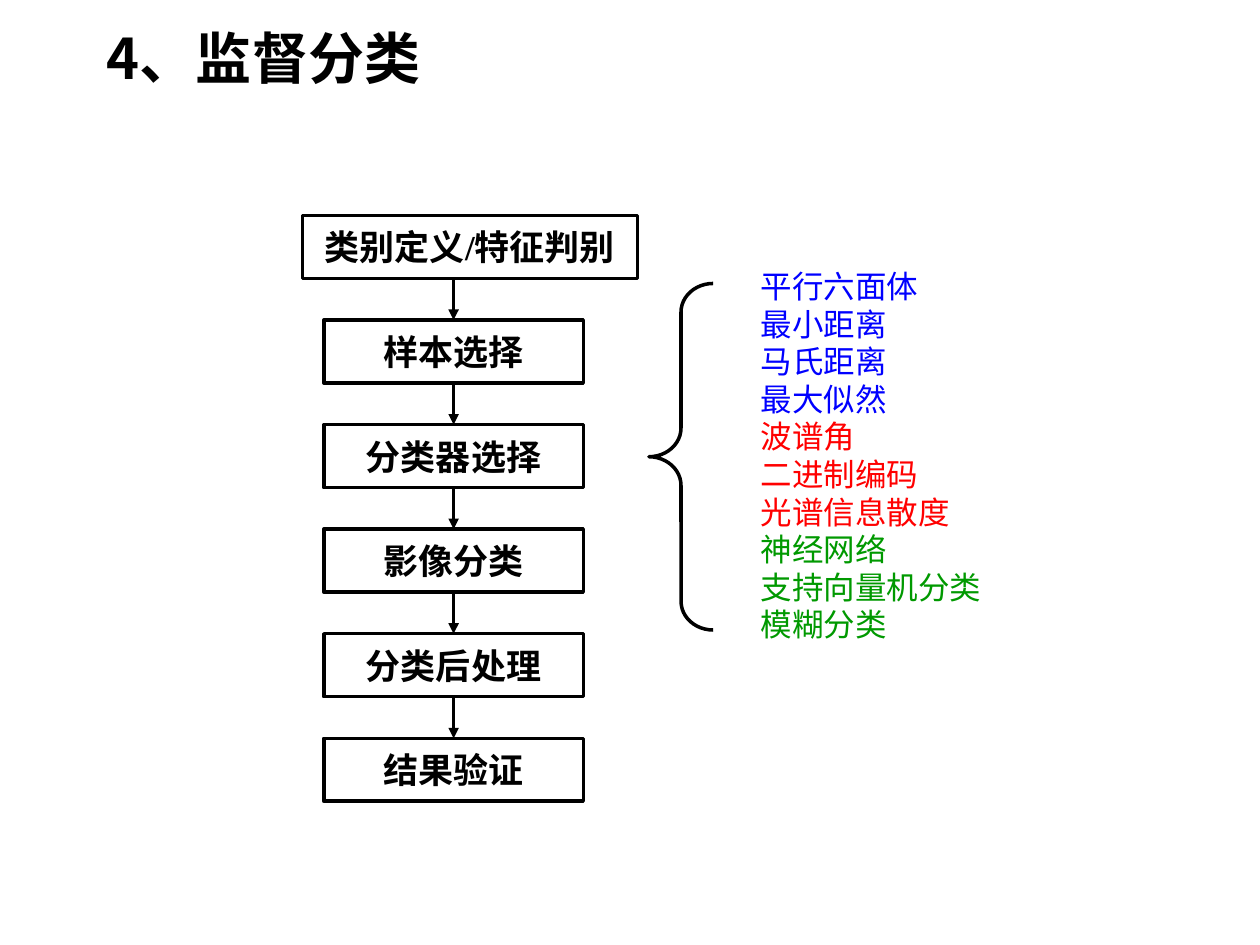
from pptx import Presentation
from pptx.dml.color import RGBColor
from pptx.enum.shapes import MSO_CONNECTOR, MSO_SHAPE
from pptx.enum.text import MSO_ANCHOR, PP_ALIGN
from pptx.oxml.ns import qn
from pptx.util import Inches, Pt
from lxml.etree import SubElement

THEME = {
    "ink": RGBColor(0, 0, 0),
    "paper": RGBColor(255, 255, 255),
    "blue": RGBColor(0, 0, 255),
    "red": RGBColor(255, 0, 0),
    "green": RGBColor(0, 0x99, 0),
    "line": Pt(2),
    "title": {"size": Pt(32), "name": "Noto Sans CJK SC", "bold": True},
    "step": {"size": Pt(20), "name": "Times New Roman", "bold": True},
    "method": {"size": Pt(18), "name": "Calibri", "bold": False},
    "method_pitch": Pt(21.5),
}


def write(p, text, style, color):
    r = p.add_run()
    r.text = text
    for key, value in THEME[style].items():
        setattr(r.font, key, value)
    r.font.color.rgb = THEME[color]
    return r


def outline(s):
    s.line.color.rgb = THEME["ink"]
    s.line.width = THEME["line"]


prs = Presentation()
prs.slide_width, prs.slide_height = Inches(10), Inches(7.5)
slide = prs.slides.add_slide(prs.slide_layouts[6])

title = slide.shapes.add_textbox(Inches(0.75), Inches(0.13), Inches(9.25), Inches(0.64))
tf = title.text_frame
tf.word_wrap = True
tf.vertical_anchor = MSO_ANCHOR.MIDDLE
tf.margin_top = tf.margin_bottom = 0
r = write(tf.paragraphs[0], "4、监督分类", "title", "ink")
SubElement(r.font._element, qn("a:ea"), typeface=THEME["title"]["name"])

steps = ["类别定义/特征判别", "样本选择", "分类器选择", "影像分类", "分类后处理", "结果验证"]
top, pitch, height, center = 1.71, 0.83, 0.5, 3.6
for i, step in enumerate(steps):
    y = top + i * pitch
    left, width = (2.4, 2.66) if i == 0 else (2.57, 2.06)
    s = slide.shapes.add_shape(
        MSO_SHAPE.RECTANGLE, Inches(left), Inches(y), Inches(width), Inches(height))
    s.shadow.inherit = False
    s.fill.solid()
    s.fill.fore_color.rgb = THEME["paper"]
    outline(s)
    tf = s.text_frame
    tf.word_wrap = False
    tf.vertical_anchor = MSO_ANCHOR.MIDDLE
    p = tf.paragraphs[0]
    p.alignment = PP_ALIGN.CENTER
    write(p, step, "step", "ink")
    if i:
        arrow = slide.shapes.add_connector(
            MSO_CONNECTOR.STRAIGHT,
            Inches(center), Inches(y - pitch + height), Inches(center), Inches(y))
        outline(arrow)
        SubElement(arrow.line._get_or_add_ln(), qn("a:tailEnd"), type="triangle")
        SubElement(arrow._element.spPr, qn("a:effectLst"))

brace = slide.shapes.add_shape(
    MSO_SHAPE.LEFT_BRACE, Inches(5.15), Inches(2.25), Inches(0.51), Inches(2.75))
brace.shadow.inherit = False
brace.fill.background()
brace.adjustments[0] = 0.446
outline(brace)

methods = {
    "blue": ["平行六面体", "最小距离", "马氏距离", "最大似然"],
    "red": ["波谱角", "二进制编码", "光谱信息散度"],
    "green": ["神经网络", "支持向量机分类", "模糊分类"],
}
rows = [(name, color) for color, names in methods.items() for name in names]
box = slide.shapes.add_textbox(Inches(5.94), Inches(2.12), Inches(2.17), Inches(2.91))
tf = box.text_frame
tf.word_wrap = True
tf.margin_top = tf.margin_bottom = 0
for i, (name, color) in enumerate(rows):
    p = tf.add_paragraph() if i else tf.paragraphs[0]
    p.line_spacing = THEME["method_pitch"]
    write(p, name, "method", color)

prs.save("out.pptx")
